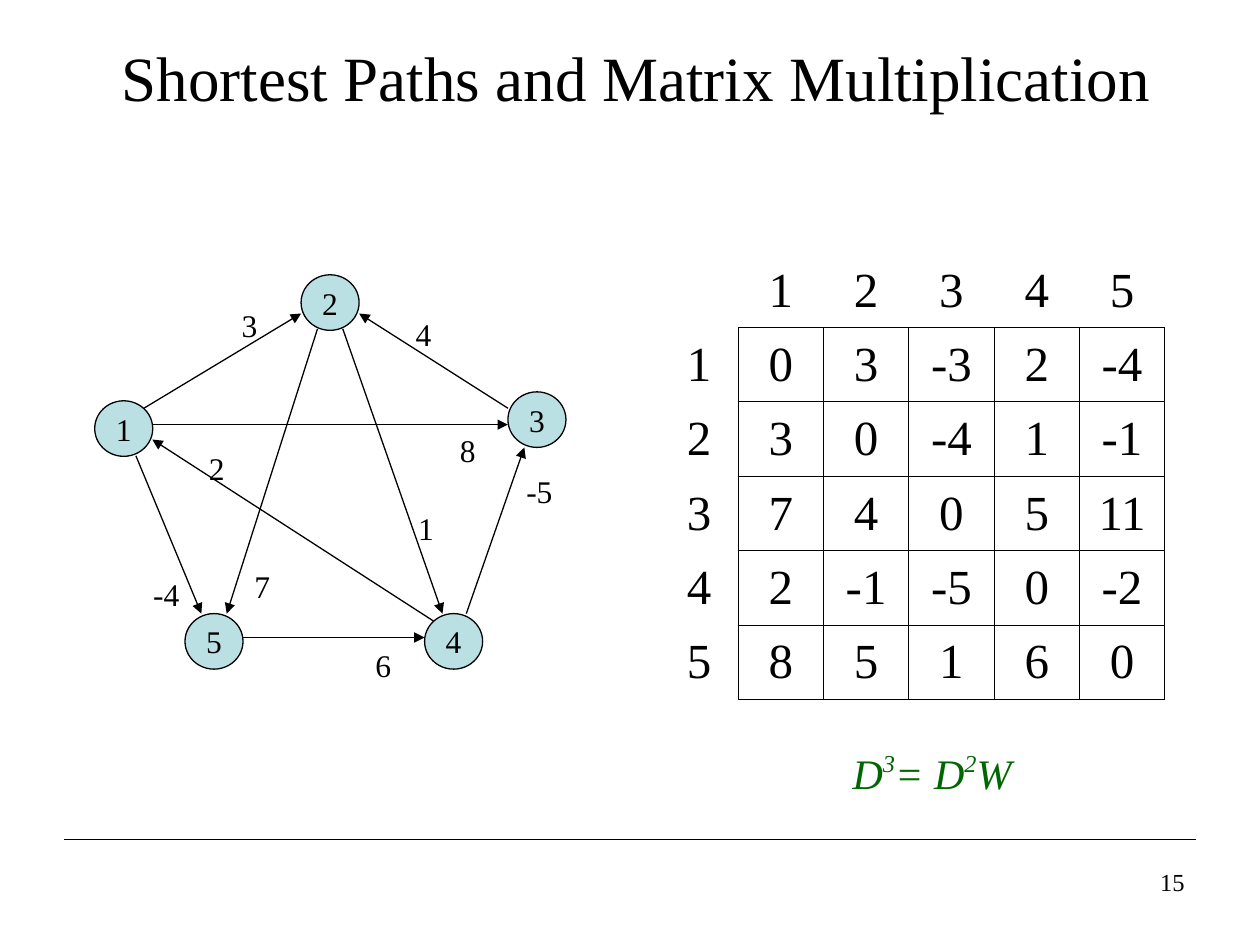
from lxml import etree
from pptx import Presentation
from pptx import util as u
from pptx.dml.color import RGBColor
from pptx.enum import shapes, text
from pptx.oxml import ns

COLORS = {"ink": "000000", "node": "BBE0E3", "formula": "006600"}
NO_STYLE = "{2D5ABB26-0587-4C30-8999-92F81FD0307C}"
MIDDLE = text.MSO_ANCHOR.MIDDLE
CENTER = text.PP_ALIGN.CENTER


def add_xml(parent, tag, **attributes):
    return etree.SubElement(parent, ns.qn(tag), attributes)


def apply(target, values):
    for name, value in values.items():
        setattr(target, name, value)


class GraphSlide:
    font = "Times New Roman"
    line_width = u.Pt(0.74)
    border_width = u.Pt(0.45)

    def __init__(self, deck):
        self.slide = deck.slides.add_slide(deck.slide_layouts[5])
        self.shapes = self.slide.shapes

    def color(self, name):
        return RGBColor.from_string(COLORS[name])

    def fill_text(self, frame, pieces, size, color="ink", align=None, italic=False, before=0):
        paragraph = frame.paragraphs[0]
        apply(paragraph, {"alignment": align, "space_before": u.Pt(before)})
        for piece, raised in pieces:
            run = paragraph.add_run()
            run.text = piece
            apply(run.font, {"name": self.font, "size": u.Pt(size), "italic": italic})
            run.font.color.rgb = self.color(color)
            if raised:
                run.font._element.set("baseline", "40000")

    def title(self, wording, box, size):
        heading = self.shapes.title
        apply(heading, dict(zip(("left", "top", "width", "height"), map(u.Cm, box))))
        apply(heading.text_frame, {"vertical_anchor": MIDDLE, "word_wrap": True,
                                   "auto_size": text.MSO_AUTO_SIZE.NONE,
                                   "margin_left": u.Cm(0.5)})
        self.fill_text(heading.text_frame, [(wording, False)], size, align=CENTER)

    def label(self, pieces, box, size, wrap=False, **style):
        frame = self.shapes.add_textbox(*map(u.Cm, box)).text_frame
        frame.word_wrap = wrap
        self.fill_text(frame, pieces, size, **style)

    def node(self, name, left, top):
        circle = self.shapes.add_shape(shapes.MSO_SHAPE.OVAL, u.Cm(left), u.Cm(top),
                                       u.Cm(1.17), u.Cm(1.12))
        circle.shadow.inherit = False
        circle.fill.solid()
        circle.fill.fore_color.rgb = self.color("node")
        circle.line.color.rgb = self.color("ink")
        circle.line.width = self.line_width
        apply(circle.text_frame, {"vertical_anchor": MIDDLE, "word_wrap": False})
        self.fill_text(circle.text_frame, [(name, False)], 18, align=CENTER)

    def line(self, start, end, arrow=False):
        connector = self.shapes.add_connector(shapes.MSO_CONNECTOR.STRAIGHT,
                                              *map(u.Cm, start + end))
        connector.line.color.rgb = self.color("ink")
        connector.line.width = self.line_width
        if arrow:
            outline = connector._element.spPr.find(ns.qn("a:ln"))
            add_xml(outline, "a:tailEnd", type="triangle")
        add_xml(connector._element.spPr, "a:effectLst")

    def border(self, cell, sides):
        properties = cell._tc.get_or_add_tcPr()
        for side in sides:
            edge = add_xml(properties, f"a:ln{side}", w=str(int(self.border_width)))
            add_xml(add_xml(edge, "a:solidFill"), "a:srgbClr", val=COLORS["ink"])

    def matrix(self, values, left, top, label_size, cell_size):
        names = [str(n + 1) for n in range(len(values))]
        grid = [[""] + names] + [[name] + row for name, row in zip(names, values)]
        widths, heights = ([first] + [rest] * len(names)
                           for first, rest in zip(label_size, cell_size))
        table = self.shapes.add_table(len(grid), len(grid), u.Cm(left), u.Cm(top),
                                      u.Cm(sum(widths)), u.Cm(sum(heights))).table
        apply(table, {"first_row": False, "horz_banding": False})
        table._tbl.tblPr.find(ns.qn("a:tableStyleId")).text = NO_STYLE
        for column, width in zip(table.columns, widths):
            column.width = u.Cm(width)
        for row, height in zip(table.rows, heights):
            row.height = u.Cm(height)
        for r, row in enumerate(grid):
            for c, value in enumerate(row):
                cell = table.cell(r, c)
                cell.vertical_anchor = MIDDLE
                self.border(cell, "LRTB" if r and c else "R" if r else "B" if c else "")
                cell.fill.background()
                self.fill_text(cell.text_frame, [(value, False)] if value else [], 28,
                               align=CENTER, before=7)


deck = Presentation()
apply(deck, {"slide_width": u.Cm(25.4), "slide_height": u.Cm(19.05)})
page = GraphSlide(deck)

page.line((1.3, 16.92), (24.1, 16.92))
page.title("Shortest Paths and Matrix Multiplication", (1.27, 0.76, 22.86, 1.55), 36)

distances = ["0 3 -3 2 -4", "3 0 -4 1 -1", "7 4 0 5 11", "2 -1 -5 0 -2", "8 5 1 6 0"]
page.matrix([row.split() for row in distances], 13.31, 5.13, (1.57, 1.47), (1.72, 1.5))
page.label([("D", False), ("3", True), ("= D", False), ("2", True), ("W", False)],
           (16.94, 14.94, 3.91, 1.27), 24, color="formula", italic=True)

nodes = [(1.91, 8.08), (6.07, 5.54), (10.24, 7.9), (8.56, 12.37), (3.73, 12.37)]
for number, place in enumerate(nodes, 1):
    page.node(str(number), *place)

edges = [
    ("3", (2.9, 8.23), (6.07, 6.32), (4.62, 6.05)),
    ("4", (10.24, 8.23), (7.24, 6.32), (8.13, 6.22)),
    ("-5", (9.4, 12.37), (10.57, 9.02), (10.36, 9.4)),
    ("6", (4.9, 12.85), (8.56, 12.85), (7.32, 12.9)),
    ("-4", (2.74, 9.19), (4.06, 12.37), (2.84, 11.46)),
    ("7", (6.4, 6.63), (4.57, 12.37), (4.88, 11.3)),
    ("1", (6.91, 6.63), (8.92, 12.37), (8.18, 10.13)),
    ("2", (8.74, 12.52), (3.07, 8.86), (3.96, 8.92)),
    ("8", (3.07, 8.56), (10.24, 8.56), (9.02, 8.56)),
]
for weight, start, end, place in edges:
    page.line(start, end, arrow=True)
    page.label([(weight, False)], place + (0.58 + 0.23 * len(weight), 1.02), 18)

page.label([("15", False)], (18.21, 17.35, 5.92, 1.32), 14, wrap=True,
           align=text.PP_ALIGN.RIGHT)

deck.save("out.pptx")
